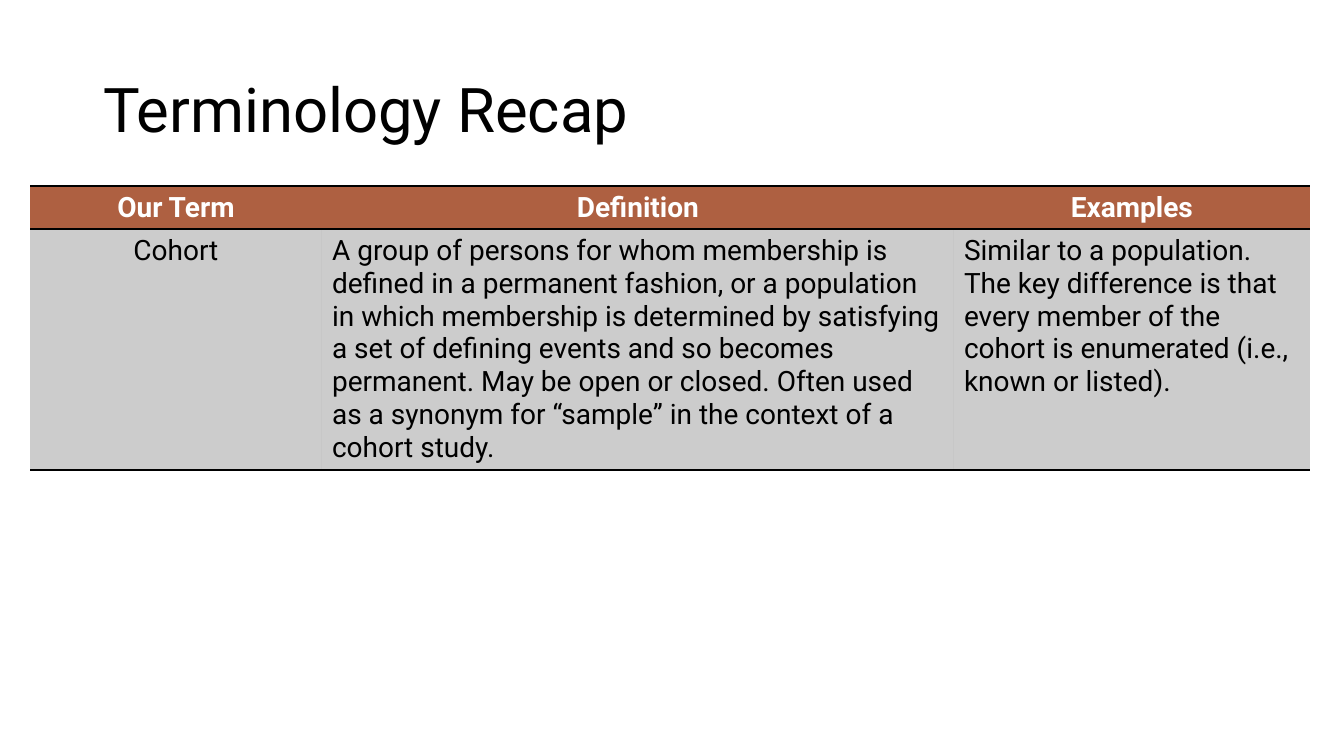
from lxml.etree import SubElement
from pptx import Presentation
from pptx.dml.color import RGBColor
from pptx.enum.text import MSO_ANCHOR, MSO_AUTO_SIZE, PP_ALIGN
from pptx.oxml import parse_xml
from pptx.oxml.ns import nsdecls, qn
from pptx.util import Pt

PX = 9144000 / 1008
FONT = "Roboto"
NO_STYLE = "{2D5ABB26-0587-4C30-8999-92F81FD0307C}"
COLORS = {"black": "000000", "white": "FFFFFF", "rust": "AE6041"}


def px(*lengths):
    return [round(n * PX) for n in lengths]


def style_font(font, size, color, bold=False):
    font.name = FONT
    font.size = Pt(size)
    font.bold = bold
    font.color.rgb = RGBColor.from_string(COLORS[color])


prs = Presentation()
prs.slide_width, prs.slide_height = px(1344, 756)
s = prs.slides.add_slide(prs.slide_layouts[5])

title = s.shapes.title
title.left, title.top, title.width, title.height = px(93, 40, 1159, 146)
tf = title.text_frame
tf.text = "Terminology Recap"
tf.auto_size = MSO_AUTO_SIZE.NONE
tf.vertical_anchor = MSO_ANCHOR.MIDDLE
p = tf.paragraphs[0]
p.alignment = PP_ALIGN.LEFT
p.line_spacing = 0.9
style_font(p.runs[0].font, 44, "black")

rows = [
    ["Our Term", "Definition", "Examples"],
    [
        "Cohort",
        "A group of persons for whom membership is defined in a permanent fashion, "
        "or a population in which membership is determined by satisfying a set of "
        "defining events and so becomes permanent. May be open or closed. Often used "
        "as a synonym for “sample” in the context of a cohort study.",
        "Similar to a population. The key difference is that every member of the "
        "cohort is enumerated (i.e., known or listed).",
    ],
]
col_widths = px(292, 632, 356)
row_heights = px(43, 241)

table = s.shapes.add_table(
    len(rows), len(col_widths), *px(30, 186), sum(col_widths), sum(row_heights)
).table
table.horz_banding = False
table._tbl.tblPr.find(qn("a:tableStyleId")).text = NO_STYLE
for column, width in zip(table.columns, col_widths):
    column.width = width

for i, texts in enumerate(rows):
    header = i == 0
    table.rows[i].height = row_heights[i]
    for j, text in enumerate(texts):
        cell = table.cell(i, j)
        cell.text_frame.text = text
        p = cell.text_frame.paragraphs[0]
        p.alignment = PP_ALIGN.CENTER if header or j == 0 else PP_ALIGN.LEFT
        style_font(p.runs[0].font, 20, "white" if header else "black", header)

        cell.fill.solid()
        cell.fill.fore_color.rgb = RGBColor.from_string(COLORS["rust" if header else "black"])
        tcPr = cell._tc.get_or_add_tcPr()
        if not header:
            SubElement(tcPr.find(".//" + qn("a:srgbClr")), qn("a:alpha"), val="20000")
        for k, side in enumerate(["lnT", "lnB"]):
            border = parse_xml(
                f'<a:{side} {nsdecls("a")} w="{Pt(1)}"><a:solidFill>'
                f'<a:srgbClr val="{COLORS["black"]}"/></a:solidFill></a:{side}>'
            )
            tcPr.insert(k, border)

prs.save("out.pptx")
